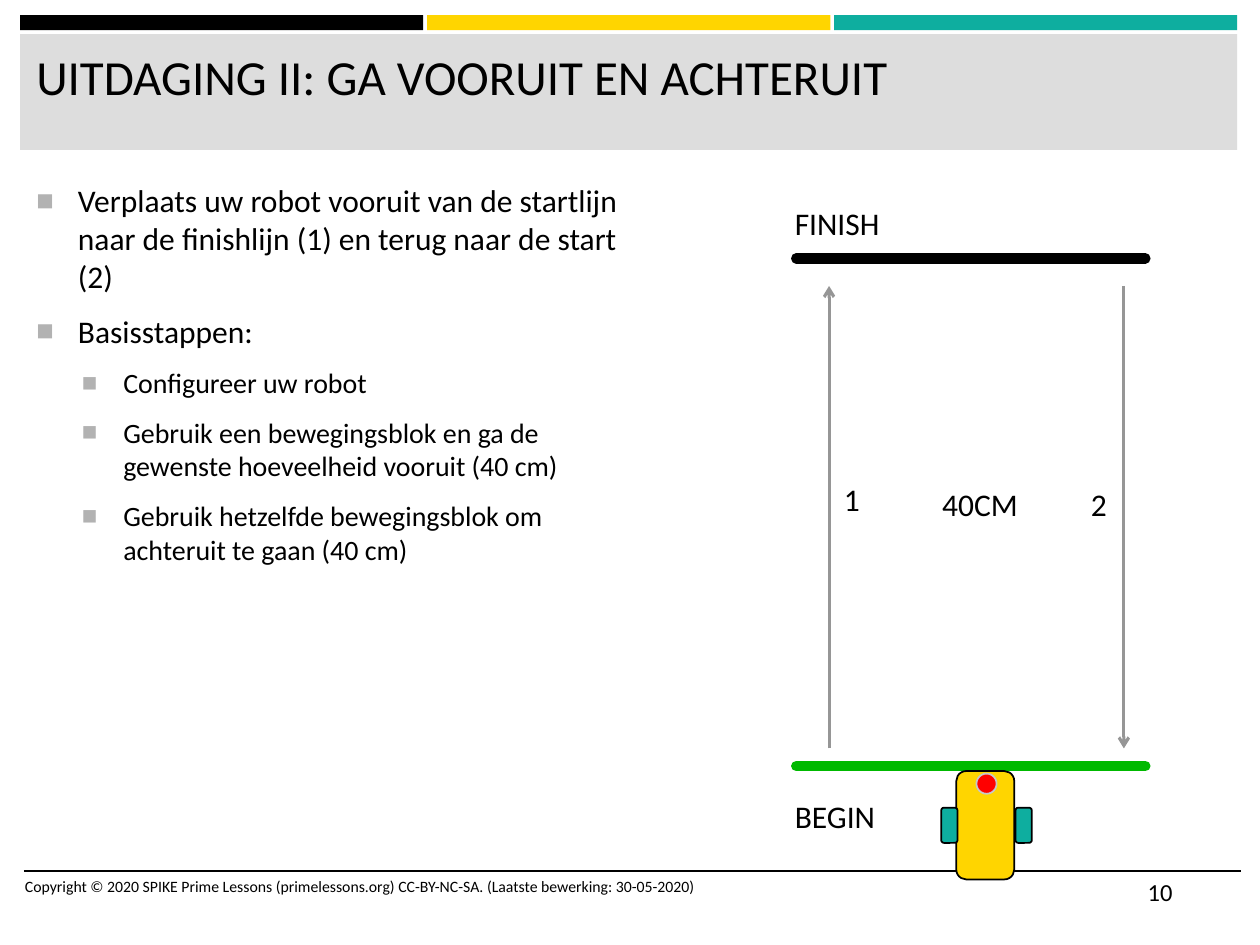
import pptx
import pptx.dml.color
import pptx.enum.shapes
import pptx.enum.text
import pptx.oxml.ns
import pptx.util
from lxml import etree

RGBColor = pptx.dml.color.RGBColor
Kind = pptx.enum.shapes.MSO_SHAPE

BLACK = RGBColor(0x00, 0x00, 0x00)
YELLOW = RGBColor(0xFF, 0xD5, 0x00)
TEAL = RGBColor(0x0E, 0xAE, 0x9F)
PALE_GRAY = RGBColor(0xDD, 0xDD, 0xDD)
ARROW_GRAY = RGBColor(0x96, 0x96, 0x96)
BULLET_GRAY = RGBColor(0xB2, 0xB2, 0xB2)
GREEN = RGBColor(0x00, 0xB9, 0x00)
RED = RGBColor(0xFF, 0x00, 0x00)
RIM_GRAY = RGBColor(0xC7, 0xC7, 0xC7)

FONT = "Calibri"
COLUMNS, ROWS = 100, 75
SLIDE_WIDTH = pptx.util.Inches(10)
SLIDE_HEIGHT = pptx.util.Inches(7.5)

STEPS = [
    (0, "Verplaats uw robot vooruit van de startlijn naar de finishlijn (1) "
        "en terug naar de start (2)"),
    (0, "Basisstappen:"),
    (1, "Configureer uw robot"),
    (1, "Gebruik een bewegingsblok en ga de gewenste hoeveelheid vooruit (40 cm)"),
    (1, "Gebruik hetzelfde bewegingsblok om achteruit te gaan (40 cm)"),
]


def across(columns):
    return round(SLIDE_WIDTH * columns / COLUMNS)


def down(rows):
    return round(SLIDE_HEIGHT * rows / ROWS)


def cells(left, top, width, height):
    """Turn grid cells into slide lengths."""
    return across(left), down(top), across(width), down(height)


def add_child(parent, tag, **attributes):
    child = etree.SubElement(parent, pptx.oxml.ns.qn(tag))
    for name, value in attributes.items():
        child.set(name, value)
    return child


def add_block(shapes, kind, area, fill, outline=None, rounding=None):
    block = shapes.add_shape(kind, *cells(*area))
    block.shadow.inherit = False
    block.fill.solid()
    block.fill.fore_color.rgb = fill
    if outline is None:
        block.line.fill.background()
    else:
        block.line.color.rgb = outline
        block.line.width = pptx.util.Pt(1)
    if rounding is not None:
        block.adjustments[0] = rounding


def add_line(page, start, end, color, points, cap="flat", arrow=False):
    line = page.shapes.add_connector(
        pptx.enum.shapes.MSO_CONNECTOR.STRAIGHT,
        across(start[0]), down(start[1]), across(end[0]), down(end[1]))
    line.line.color.rgb = color
    line.line.width = pptx.util.Pt(points)
    outline = line.line._get_or_add_ln()
    outline.set("cap", cap)
    if arrow:
        add_child(outline, "a:tailEnd", type="arrow")
    add_child(line._element.spPr, "a:effectLst")


def add_span(para, text, points):
    span = para.add_run()
    span.text = text
    span.font.name = FONT
    span.font.size = pptx.util.Pt(points)
    span.font.color.rgb = BLACK


def add_frame(page, area, wrap=True):
    frame = page.shapes.add_textbox(*cells(*area)).text_frame
    frame.word_wrap = wrap
    frame.vertical_anchor = pptx.enum.text.MSO_ANCHOR.TOP
    return frame


def add_label(page, area, text, points=18, wrap=True):
    add_span(add_frame(page, area, wrap).paragraphs[0], text, points)


def set_bullet(para, level):
    para.level = level
    properties = para._p.get_or_add_pPr()
    properties.set("marL", str(across(3.3 + 3.6 * level)))
    properties.set("indent", str(-across(3.3)))
    color = add_child(properties, "a:buClr")
    add_child(color, "a:srgbClr", val=str(BULLET_GRAY))
    add_child(properties, "a:buSzPct", val="92000")
    add_child(properties, "a:buFont", typeface="Arial")
    add_child(properties, "a:buChar", char="■")


def add_steps(page):
    frame = add_frame(page, (1.9, 13.9, 49.8, 47.8))
    for index, (level, text) in enumerate(STEPS):
        para = frame.add_paragraph() if index else frame.paragraphs[0]
        points = 18 - 2 * level
        set_bullet(para, level)
        if index:
            para.space_before = pptx.util.Pt(0.2 * points)
        para.space_after = pptx.util.Pt(6)
        add_span(para, text, points)


def add_header(page):
    for index, color in enumerate((BLACK, YELLOW, TEAL)):
        add_block(page.shapes, Kind.RECTANGLE,
                  (1.6 + 32.3 * index, 1.2, 32, 1.2), color)
    add_block(page.shapes, Kind.RECTANGLE, (1.6, 2.7, 96.6, 9.2), PALE_GRAY)
    add_label(page, (1.9, 3.2, 95.7, 8.2),
              "UITDAGING II: GA VOORUIT EN ACHTERUIT", 28)


def add_course(page):
    """Draw the finish and start lines with the two runs between them."""
    for row, color in ((20.5, BLACK), (60.8, GREEN)):
        add_line(page, (63.2, row), (90.9, row), color, 6, cap="rnd")
    far, near = 22.7, 59.4
    for column, start, end in ((65.8, near, far), (89.2, far, near)):
        add_line(page, (column, start), (column, end), ARROW_GRAY, 1.75, arrow=True)
    add_label(page, (66, 37.6, 3.4, 4), "1")
    add_label(page, (85.6, 38, 3.4, 4), "2")
    add_label(page, (73.8, 38, 9, 4), "40CM")
    add_label(page, (62.1, 15.7, 10.3, 4), "FINISH", wrap=False)
    add_label(page, (62.1, 62.8, 10, 4), "BEGIN", wrap=False)


def add_robot(page):
    robot = page.shapes.add_group_shape().shapes
    add_block(robot, Kind.ROUNDED_RECTANGLE, (75.9, 61.2, 4.6, 8.6),
              YELLOW, BLACK, 0.17)
    for wheel in (80.6, 74.7):
        add_block(robot, Kind.ROUNDED_RECTANGLE, (wheel, 64.1, 1.3, 2.8),
                  TEAL, BLACK, 0.17)
    add_block(robot, Kind.OVAL, (77.5, 61.4, 1.6, 1.6), RED, RIM_GRAY)


def add_footer(page):
    add_line(page, (1.9, 69.1), (98.5, 69.1), BLACK, 1)
    add_label(page, (90.1, 69.1, 8.4, 4), "10", 14)
    add_label(page, (1, 69.1, 88, 4),
              "Copyright © 2020 SPIKE Prime Lessons (primelessons.org) CC-BY-NC-SA. "
              "(Laatste bewerking: 30-05-2020)", 9)


def main():
    deck = pptx.Presentation()
    deck.slide_width = SLIDE_WIDTH
    deck.slide_height = SLIDE_HEIGHT
    page = deck.slides.add_slide(deck.slide_layouts[6])
    add_header(page)
    add_footer(page)
    add_steps(page)
    add_course(page)
    add_robot(page)
    deck.save("out.pptx")


if __name__ == "__main__":
    main()
